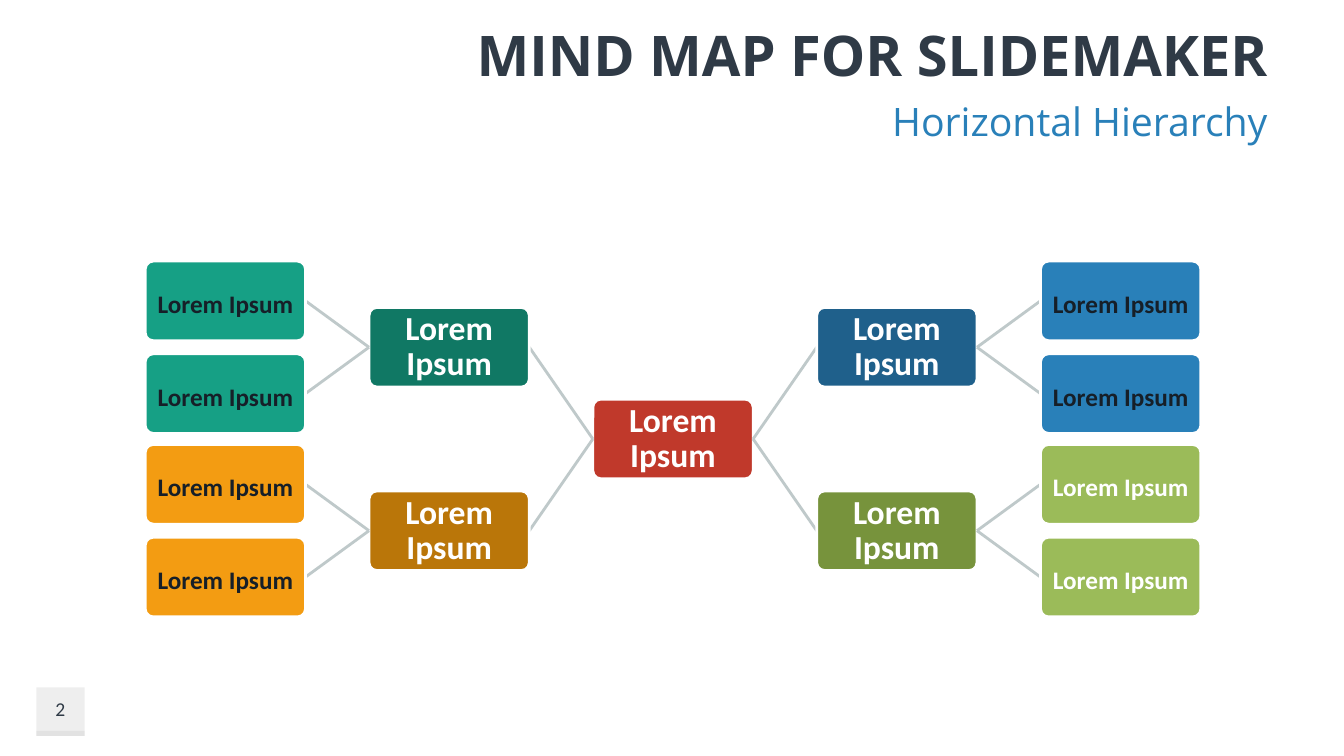
from pptx import Presentation, util as u
from pptx.dml.color import RGBColor
from pptx.enum import shapes, text
from pptx.oxml import xmlchemy as x

PX = 9144
BOX_W, BOX_H = 159, 79
COLUMN_STEP, BRANCH_STEP, LEAF_STEP = 222, 91, 46
ROOT_X, ROOT_Y = 588, 396


def rgb(value):
    return RGBColor.from_string(value)


def write(sp, content, size, font, color, bold=False,
          align=text.PP_ALIGN.CENTER, anchor=text.MSO_ANCHOR.MIDDLE):
    tf = sp.text_frame
    tf.word_wrap = True
    tf.vertical_anchor = anchor
    tf.text = content
    p = tf.paragraphs[0]
    p.alignment = align
    r = p.runs[0]
    r.font.size = u.Pt(size)
    r.font.name = font
    r.font.bold = bold
    r.font.color.rgb = rgb(color)
    return tf


def add_box(s, x0, y0, fill, size, color):
    sp = s.shapes.add_shape(shapes.MSO_SHAPE.ROUNDED_RECTANGLE,
                            x0 * PX, y0 * PX, BOX_W * PX, BOX_H * PX)
    sp.adjustments[0] = 0.1
    sp.shadow.inherit = False
    sp.fill.solid()
    sp.fill.fore_color.rgb = rgb(fill)
    sp.line.color.rgb = rgb("FFFFFF")
    sp.line.width = u.Pt(2)
    tf = write(sp, "Lorem Ipsum", size, "Calibri", color, True)
    tf.margin_left = tf.margin_right = tf.margin_top = tf.margin_bottom = 5 * PX
    tf.paragraphs[0].line_spacing = u.Pt(25)
    return sp


prs = Presentation()
prs.slide_width = 1333 * PX
prs.slide_height = 750 * PX
s = prs.slides.add_slide(prs.slide_layouts[6])

for top, height in [(682, 48), (725, 5)]:
    sp = s.shapes.add_shape(shapes.MSO_SHAPE.RECTANGLE, 36 * PX, top * PX, 48 * PX, height * PX)
    sp.shadow.inherit = False
    sp.line.fill.background()
    sp.fill.solid()
    sp.fill.fore_color.rgb = rgb("BFBFBF")
    alpha = x.OxmlElement("a:alpha")
    alpha.set("val", "25000")
    sp.fill._xPr.find(".//" + x.qn("a:srgbClr")).append(alpha)

title = s.shapes.add_textbox(195 * PX, 15 * PX, 1072 * PX, 77 * PX)
write(title, "MIND MAP FOR SLIDEMAKER", 40, "Open Sans", "2F3A46", True, text.PP_ALIGN.RIGHT)
subtitle = s.shapes.add_textbox(195 * PX, 92 * PX, 1072 * PX, 57 * PX)
write(subtitle, "Horizontal Hierarchy", 28, "Open Sans", "2980B9", False,
      text.PP_ALIGN.RIGHT, text.MSO_ANCHOR.TOP)

root = add_box(s, ROOT_X, ROOT_Y, "C0392B", 24, "FFFFFF")
branches = [
    (1, -1, "1F608B", "2980B9", "161F28"),
    (1, 1, "77933C", "9BBB59", "FFFFFF"),
    (-1, -1, "107864", "16A085", "161F28"),
    (-1, 1, "BA7609", "F39C12", "161F28"),
]
for side, row, branch_fill, leaf_fill, leaf_color in branches:
    branch_x = ROOT_X + side * COLUMN_STEP
    branch_y = ROOT_Y + row * BRANCH_STEP
    leaf_x = branch_x + side * COLUMN_STEP
    nodes = [(branch_x, branch_y, branch_fill, 24, "FFFFFF")]
    nodes += [(leaf_x, branch_y + step, leaf_fill, 18, leaf_color)
              for step in (-LEAF_STEP, LEAF_STEP)]
    near, far = (3, 1) if side > 0 else (1, 3)
    parent = root
    for node in nodes:
        link = s.shapes.add_connector(shapes.MSO_CONNECTOR.STRAIGHT, 0, 0, 0, 0)
        link.line.color.rgb = rgb("BFC9CA")
        link.line.width = u.Pt(2)
        link._element.spPr.append(x.OxmlElement("a:effectLst"))
        child = add_box(s, *node)
        link.begin_connect(parent, near)
        link.end_connect(child, far)
        if parent is root:
            parent = child

number = s.shapes.add_textbox(36 * PX, 682 * PX, 48 * PX, 43 * PX)
write(number, "2", 14, "Calibri", "2F3A46")

prs.save("out.pptx")
